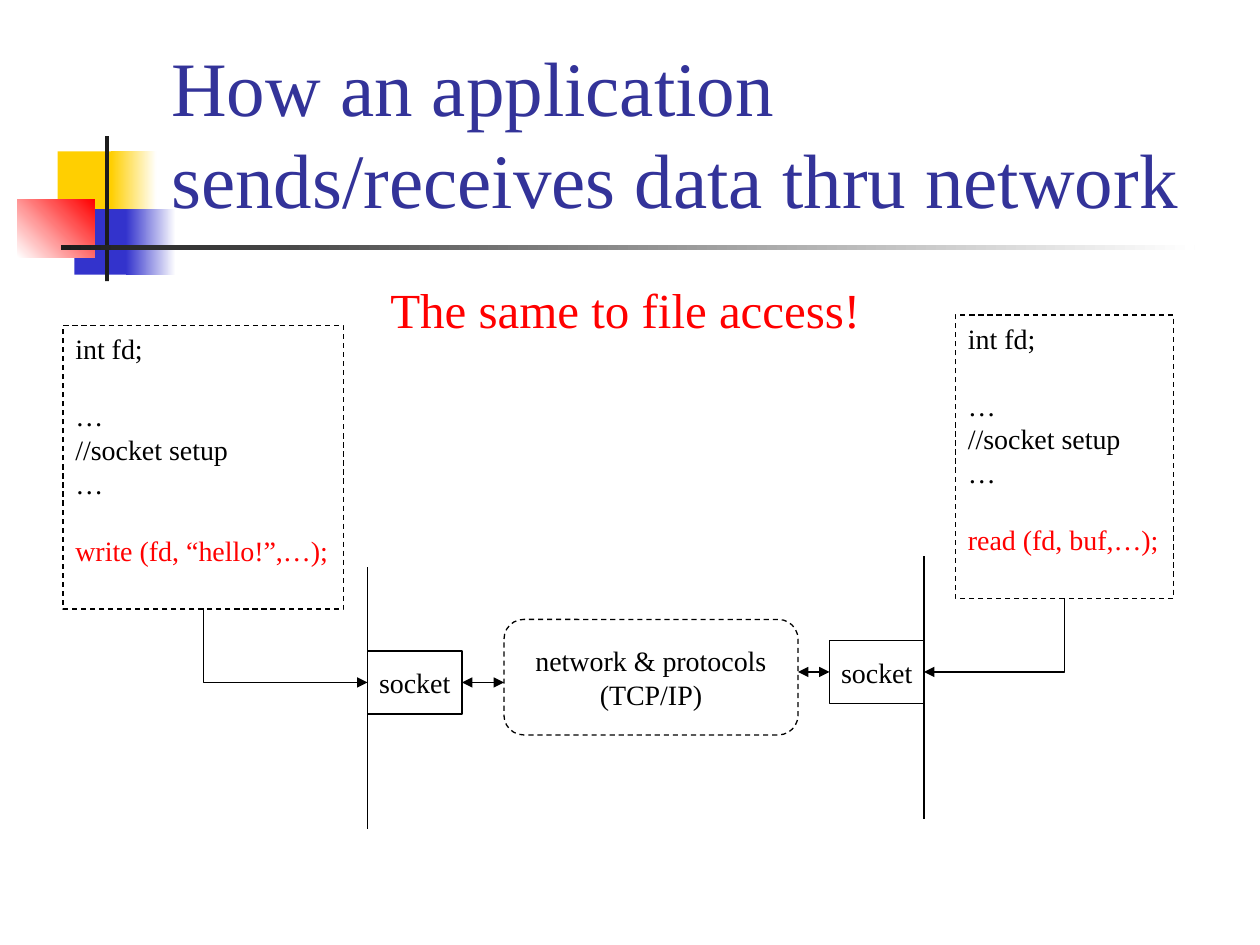
from dataclasses import dataclass

from lxml import etree
from pptx import Presentation
from pptx.dml.color import RGBColor
from pptx.enum import dml, shapes, text
from pptx.oxml import ns
from pptx.util import Pt

FONT = "Times New Roman"
BLACK = RGBColor(0x00, 0x00, 0x00)
WHITE = RGBColor(0xFF, 0xFF, 0xFF)
RED = RGBColor(0xFF, 0x00, 0x00)
YELLOW = RGBColor(0xFF, 0xCF, 0x01)
BLUE = RGBColor(0x33, 0x33, 0xCC)
CHARCOAL = RGBColor(0x1C, 0x1C, 0x1C)
NAVY = RGBColor(0x33, 0x33, 0x99)

CODE_SIZE = 16
CODE_LINE = 19.2
CODE_HEIGHT = 162
SOCKET_WIDTH, SOCKET_HEIGHT = 54, 36
RECT = shapes.MSO_SHAPE.RECTANGLE


@dataclass
class Area:
    left: float
    top: float
    width: float
    height: float

    def lengths(self) -> tuple:
        return Pt(self.left), Pt(self.top), Pt(self.width), Pt(self.height)


@dataclass
class Block:
    """A decorative bar; with an end colour it becomes a gradient."""
    area: Area
    color: RGBColor
    end: RGBColor | None = None
    angle: float = 0


@dataclass
class Line:
    words: str
    size: float = CODE_SIZE
    color: RGBColor = BLACK
    before: float = 0


@dataclass
class Host:
    """One application with its code, socket and boundary line."""
    code: Area
    call: str
    socket_left: float
    boundary: float
    socket_port: float
    network_port: float


BLOCKS = [
    Block(Area(33, 86.5, 34.5, 37.5), YELLOW),
    Block(Area(63.5, 86.5, 26, 37.5), YELLOW, WHITE),
    Block(Area(42.5, 119.5, 33, 37.5), BLUE),
    Block(Area(72, 119.5, 28.5, 37.5), BLUE, WHITE),
    Block(Area(10, 113.75, 44, 33.25), WHITE, RED, 45),
    Block(Area(60, 77.75, 2.25, 83), CHARCOAL),
    Block(Area(34.75, 140.25, 648, 2.5), CHARCOAL, WHITE),
]
NETWORK = Area(288, 354, 168, 66)
HOSTS = [
    Host(Area(36, 186, 160.5, CODE_HEIGHT), "write (fd, “hello!”,…);",
         socket_left=210, boundary=210, socket_port=264, network_port=288),
    Host(Area(546, 180, 124.5, CODE_HEIGHT), "read (fd, buf,…);",
         socket_left=474, boundary=528, socket_port=474, network_port=456),
]


def add_block(page, block: Block) -> None:
    box = page.shapes.add_shape(RECT, *block.area.lengths())
    box.shadow.inherit = False
    box.line.fill.background()
    if block.end is None:
        box.fill.solid()
        box.fill.fore_color.rgb = block.color
        return
    box.fill.gradient()
    box.fill.gradient_angle = block.angle
    for stop, color in zip(box.fill.gradient_stops, (block.color, block.end)):
        stop.color.rgb = color


def write(box, lines: list[Line], align, anchor, wrap: bool) -> None:
    frame = box.text_frame
    frame.word_wrap = wrap
    frame.vertical_anchor = anchor
    for index, line in enumerate(lines):
        para = frame.add_paragraph() if index else frame.paragraphs[0]
        para.text = line.words
        para.alignment = align
        para.space_before = Pt(line.before)
        para.font.name = FONT
        para.font.size = Pt(line.size)
        para.font.color.rgb = line.color


def add_label(page, area: Area, line: Line, anchor) -> None:
    box = page.shapes.add_textbox(*area.lengths())
    write(box, [line], text.PP_ALIGN.LEFT, anchor, wrap=True)


def add_frame(page, area: Area, lines: list[Line], kind=RECT, dashed=False,
              align=text.PP_ALIGN.CENTER, anchor=text.MSO_ANCHOR.MIDDLE):
    box = page.shapes.add_shape(kind, *area.lengths())
    box.shadow.inherit = False
    box.fill.background()
    box.line.color.rgb = BLACK
    box.line.width = Pt(0.75)
    if dashed:
        box.line.dash_style = dml.MSO_LINE.DASH
    write(box, lines, align, anchor, wrap=False)
    return box


def add_line(page, start: tuple, end: tuple, heads: tuple = (), bent=False) -> None:
    kind = shapes.MSO_CONNECTOR.ELBOW if bent else shapes.MSO_CONNECTOR.STRAIGHT
    line = page.shapes.add_connector(kind, *(Pt(value) for value in start + end))
    line.line.color.rgb = BLACK
    line.line.width = Pt(0.75)
    properties = line.element.spPr
    if bent:  # a single corner: across first, then up
        properties.find(ns.qn("a:prstGeom")).set("prst", "bentConnector2")
    outline = properties.find(ns.qn("a:ln"))
    for head in heads:
        etree.SubElement(outline, ns.qn(f"a:{head}"), type="triangle")
    etree.SubElement(properties, ns.qn("a:effectLst"))


def add_host(page, host: Host) -> None:
    code = host.code
    bottom = code.top + code.height
    axis = bottom + 42

    # Boundary and socket
    add_line(page, (host.boundary, bottom - 24), (host.boundary, bottom + 126))
    socket = Area(host.socket_left, axis - SOCKET_HEIGHT / 2, SOCKET_WIDTH, SOCKET_HEIGHT)
    add_frame(page, socket, [Line("socket")])

    # Program code
    lines = [Line("int fd;"), Line("…", before=CODE_LINE), Line("//socket setup"),
             Line("…"), Line(host.call, color=RED, before=CODE_LINE)]
    add_frame(page, code, lines, dashed=True, align=text.PP_ALIGN.LEFT,
              anchor=text.MSO_ANCHOR.TOP)

    # Arrows to the network and from the code
    add_line(page, (host.socket_port, axis), (host.network_port, axis),
             ("headEnd", "tailEnd"))
    add_line(page, (host.boundary, axis), (code.left + code.width / 2, bottom),
             ("headEnd",), bent=True)


def main() -> None:
    deck = Presentation()
    deck.slide_width, deck.slide_height = Pt(720), Pt(540)
    page = deck.slides.add_slide(deck.slide_layouts[6])

    # Decoration
    for block in BLOCKS:
        add_block(page, block)

    # Headings
    add_label(page, Area(90.75, 16.5, 613.5, 115),
              Line("How an application sends/receives data thru network", 44, NAVY),
              text.MSO_ANCHOR.BOTTOM)
    add_label(page, Area(216, 156, 342, 42),
              Line("The same to file access!", 28, RED, before=5.6),
              text.MSO_ANCHOR.TOP)

    # Diagram
    for host in HOSTS:
        add_host(page, host)
    cloud = add_frame(page, NETWORK, [Line("network & protocols"), Line("(TCP/IP)")],
                      shapes.MSO_SHAPE.ROUNDED_RECTANGLE, dashed=True)
    cloud.adjustments[0] = 0.17

    deck.save("out.pptx")


if __name__ == "__main__":
    main()
